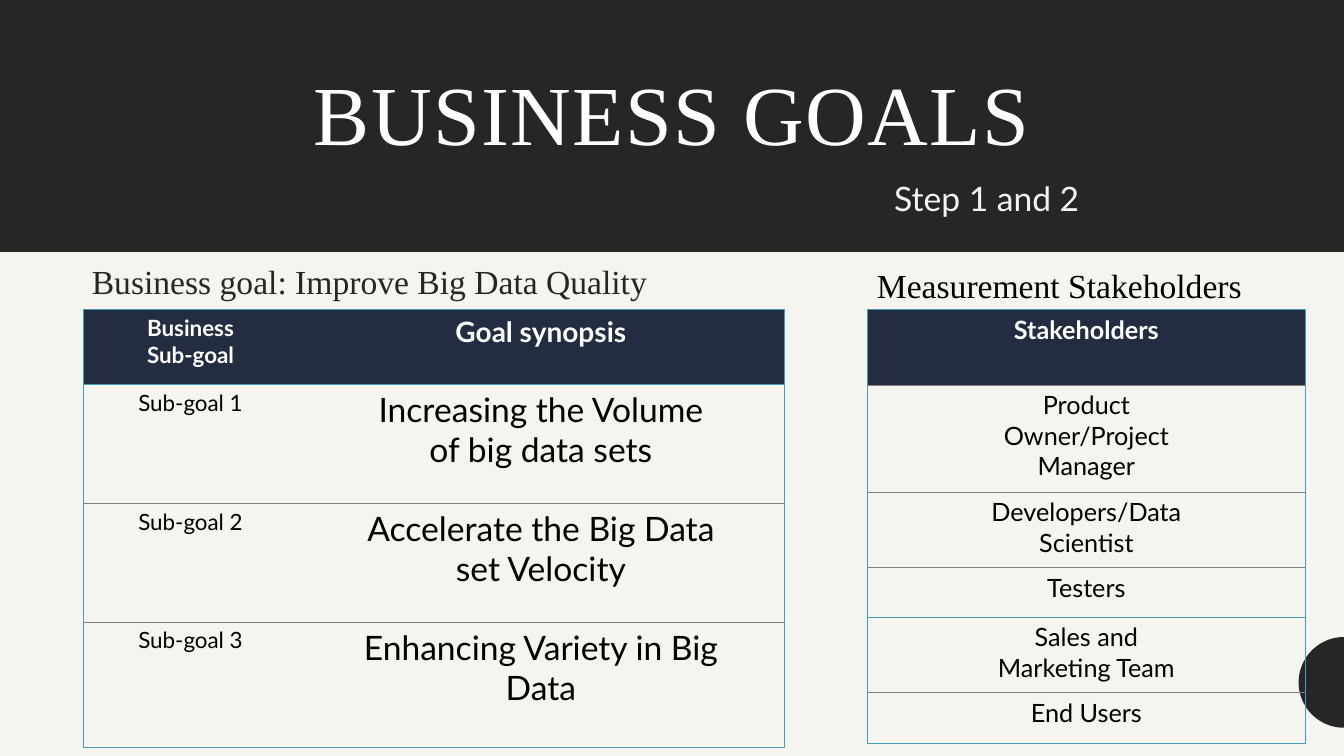
import math
from dataclasses import dataclass

from lxml import etree
from pptx import Presentation
from pptx.dml.color import RGBColor
from pptx.enum.shapes import MSO_SHAPE
from pptx.enum.text import MSO_ANCHOR, MSO_AUTO_SIZE, PP_ALIGN
from pptx.oxml.ns import qn
from pptx.util import Inches, Pt

LEFT, CENTER = PP_ALIGN.LEFT, PP_ALIGN.CENTER
TOP, MIDDLE = MSO_ANCHOR.TOP, MSO_ANCHOR.MIDDLE
RECTANGLE = MSO_SHAPE.RECTANGLE
NO_AUTOSIZE = MSO_AUTO_SIZE.NONE
TITLE_ONLY = 5


@dataclass(frozen=True)
class Theme:
    paper: str = "F6F4EF"
    dark: str = "262626"
    navy: str = "232C41"
    teal: str = "439EB7"
    divider: str = "7F7F7F"
    white: str = "FFFFFF"
    black: str = "000000"
    serif: str = "Times New Roman"
    sans: str = "Lato"
    title_size: int = 60
    large: int = 24
    medium: int = 20
    body: int = 18
    small: int = 16


THEME = Theme()


def write_text(frame, text, *, size, color, font=THEME.sans, bold=False, align=LEFT,
               anchor=TOP, line_spacing=None, space=0, tracking=None):
    frame.word_wrap = True
    frame.vertical_anchor = anchor
    frame.text = text
    for paragraph in frame.paragraphs:
        paragraph.alignment = align
        paragraph.space_before = paragraph.space_after = Pt(space)
        if line_spacing:
            paragraph.line_spacing = line_spacing
        for run in paragraph.runs:
            run.font.name = font
            run.font.size = Pt(size)
            run.font.bold = bold
            run.font.color.rgb = RGBColor.from_string(color)
            if tracking:
                run._r.get_or_add_rPr().set("spc", str(tracking * 100))


def add_text(slide, box, text, **text_format):
    shape = slide.shapes.add_textbox(*map(Inches, box))
    write_text(shape.text_frame, text, **text_format)


def fill_plain(shape, color):
    shape.shadow.inherit = False
    shape.fill.solid()
    shape.fill.fore_color.rgb = RGBColor.from_string(color)
    shape.line.fill.background()


def add_title_band(slide):
    band = slide.shapes.add_shape(RECTANGLE, 0, 0, Inches(13.33), Inches(2.5))
    fill_plain(band, THEME.dark)
    title = slide.shapes.title
    title.element.addprevious(band.element)
    title.left, title.top, title.width, title.height = map(Inches, (0.83, 0.13, 11.67, 2.09))
    title.text_frame.auto_size = NO_AUTOSIZE
    write_text(title.text_frame, "BUSINESS GOALS", size=THEME.title_size, color=THEME.white,
               font=THEME.serif, align=CENTER, anchor=MIDDLE, line_spacing=0.9, tracking=1)


def add_half_disc(slide, center_x, center_y, radius, steps=48):
    angles = [math.pi * (0.5 + step / steps) for step in range(steps + 1)]
    points = [(Inches(center_x + radius * math.cos(angle)),
               Inches(center_y + radius * math.sin(angle))) for angle in angles]
    builder = slide.shapes.build_freeform(*points[0])
    builder.add_line_segments(points[1:], close=True)
    fill_plain(builder.convert_to_shape(), THEME.dark)


def set_borders(cell, colors):
    properties = cell._tc.get_or_add_tcPr()
    for index, (side, color) in enumerate(colors.items()):
        line = etree.Element(qn(f"a:ln{side}"), w=str(Pt(0.5)))
        if color:
            fill = etree.SubElement(line, qn("a:solidFill"))
            etree.SubElement(fill, qn("a:srgbClr"), val=color)
        else:
            etree.SubElement(line, qn("a:noFill"))
        properties.insert(index, line)


def add_ruled_table(slide, left, top, widths, heights, rows, header_sizes, sizes, teal_rules):
    """Draw a navy-headed table; teal_rules lists its teal horizontal rules, counted from the top."""
    frame = slide.shapes.add_table(len(rows), len(widths), Inches(left), Inches(top),
                                   Inches(sum(widths)), Inches(sum(heights)))
    table = frame.table
    table.first_row = table.horz_banding = False
    for column, width in zip(table.columns, widths):
        column.width = Inches(width)
    for row, height in zip(table.rows, heights):
        row.height = Inches(height)
    rules = [THEME.teal if index in teal_rules else THEME.divider
             for index in range(len(rows) + 1)]
    for row_index, texts in enumerate(rows):
        header = row_index == 0
        for column_index, text in enumerate(texts):
            cell = table.cell(row_index, column_index)
            if header:
                cell.fill.solid()
                cell.fill.fore_color.rgb = RGBColor.from_string(THEME.navy)
            else:
                cell.fill.background()
            set_borders(cell, {
                "L": THEME.teal if column_index == 0 else None,
                "R": THEME.teal if column_index == len(widths) - 1 else None,
                "T": rules[row_index],
                "B": rules[row_index + 1],
            })
            write_text(cell.text_frame, text, bold=header, align=CENTER,
                       size=(header_sizes if header else sizes)[column_index],
                       color=THEME.white if header else THEME.black)


def main():
    presentation = Presentation()
    presentation.slide_width, presentation.slide_height = Inches(13.33), Inches(7.5)
    slide = presentation.slides.add_slide(presentation.slide_layouts[TITLE_ONLY])
    slide.background.fill.solid()
    slide.background.fill.fore_color.rgb = RGBColor.from_string(THEME.paper)

    add_title_band(slide)
    add_text(slide, (0.66, 2.5, 6.01, 0.55), "Business goal: Improve Big Data Quality",
             size=THEME.large, color=THEME.dark, font=THEME.serif, align=CENTER,
             line_spacing=1.1, space=4)
    add_half_disc(slide, 13.33, 6.77, 0.45)
    add_text(slide, (8.6, 2.58, 4.07, 0.5), "Measurement Stakeholders",
             size=THEME.large, color=THEME.black, font=THEME.serif)

    stakeholders = ["Stakeholders", "Product\nOwner/Project\nManager",
                    "Developers/Data\nScientist", "Testers",
                    "Sales and\nMarketing Team", "End Users"]
    add_ruled_table(slide, 8.6, 3.07, [4.35], [0.75, 1.06, 0.75, 0.49, 0.75, 0.5],
                    [[name] for name in stakeholders], [THEME.body], [THEME.body], {0, 4, 6})
    goals = [
        ["Business\nSub-goal", "Goal synopsis"],
        ["Sub-goal 1", "Increasing the Volume\nof big data sets"],
        ["Sub-goal 2", "Accelerate the Big Data\nset Velocity"],
        ["Sub-goal 3", "Enhancing Variety in Big\nData"],
    ]
    add_ruled_table(slide, 0.83, 3.07, [2.12, 4.83], [0.74, 1.18, 1.18, 1.24], goals,
                    [THEME.small, THEME.medium], [THEME.small, THEME.large], {0, 1, 4})
    add_text(slide, (8.77, 1.72, 3.07, 0.5), "Step 1 and 2",
             size=THEME.large, color=THEME.paper)
    presentation.save("out.pptx")


if __name__ == "__main__":
    main()
